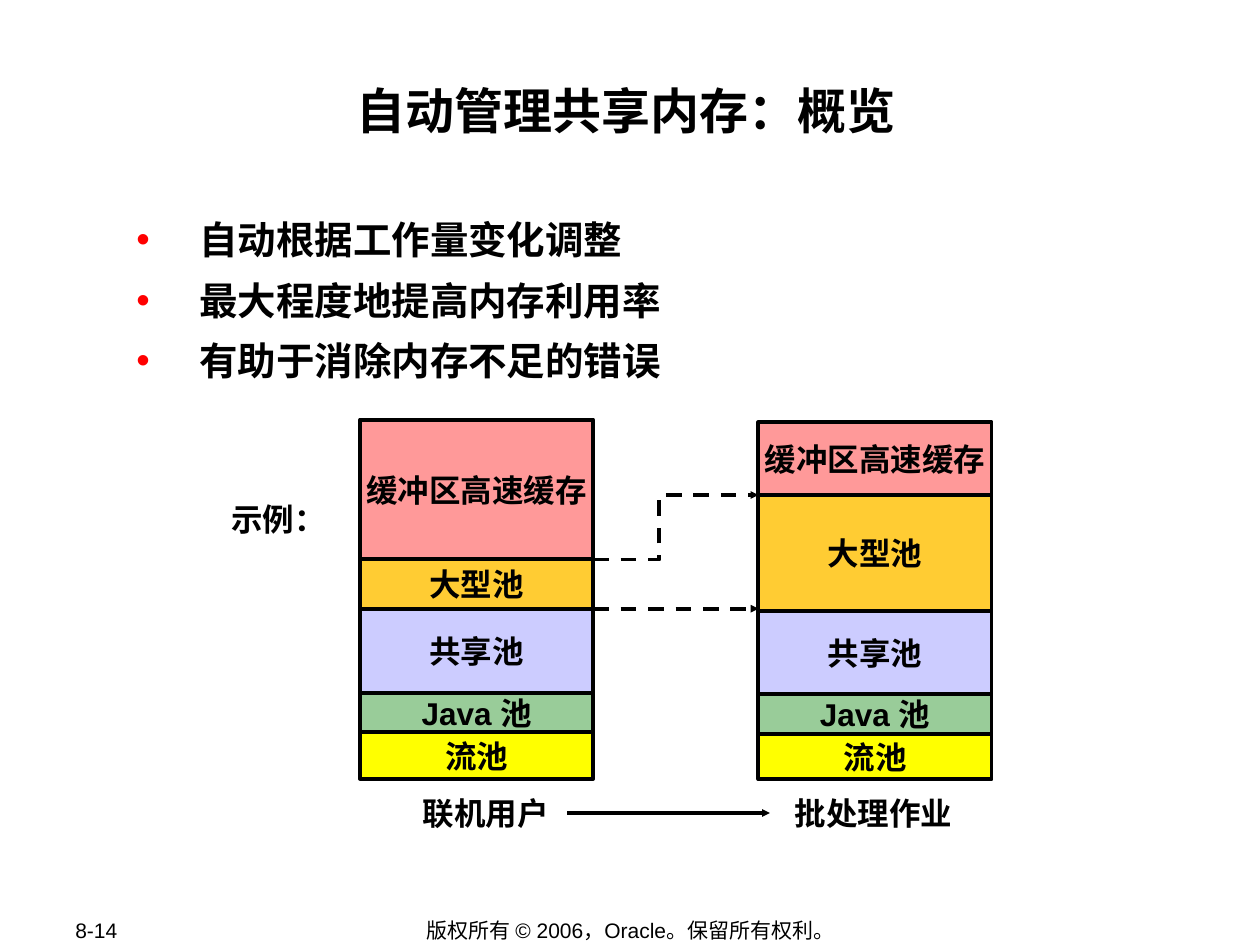
from dataclasses import dataclass
from itertools import accumulate

from lxml.etree import SubElement
from pptx import Presentation
from pptx.dml.color import RGBColor
from pptx.enum.dml import MSO_LINE
from pptx.enum.shapes import MSO_CONNECTOR, MSO_SHAPE
from pptx.enum.text import MSO_ANCHOR, MSO_AUTO_SIZE, PP_ALIGN
from pptx.oxml.ns import qn
from pptx.util import Cm, Pt


@dataclass(frozen=True)
class Theme:
    ink: str = "000000"
    mark: str = "FF0000"
    pools: tuple = ("FF9999", "FFCC33", "CCCCFF", "99CC99", "FFFF00")
    latin: str = "Arial"
    asian: str = "Noto Sans CJK SC"
    title: float = 28
    body: float = 22
    label: float = 18
    foot: float = 12
    line: float = 2.25


THEME = Theme()
POOLS = ("缓冲区高速缓存", "大型池", "共享池", "Java 池", "流池")


def color(code):
    return RGBColor.from_string(code)


def place(shape, box):
    shape.left, shape.top, shape.width, shape.height = map(Cm, box)


def style(frame, size, bold=True, align=PP_ALIGN.CENTER):
    for para in frame.paragraphs:
        para.alignment = align
        for run in para.runs:
            font = run.font
            font.size, font.bold = Pt(size), bold
            font.name = THEME.latin
            font.color.rgb = color(THEME.ink)
            SubElement(run._r.get_or_add_rPr(), qn("a:ea"), typeface=THEME.asian)


def inset(frame, wide, high):
    frame.margin_left = frame.margin_right = Cm(wide)
    frame.margin_top = frame.margin_bottom = Cm(high)


def add_text(slide, box, text, size, bold=True, align=PP_ALIGN.CENTER, wrap=False):
    frame = slide.shapes.add_textbox(*map(Cm, box)).text_frame
    frame.text = text
    frame.word_wrap = wrap
    inset(frame, 0.25, 0.13)
    style(frame, size, bold, align)
    return frame


def fill_holder(shape, box, text, size, align):
    place(shape, box)
    frame = shape.text_frame
    frame.text = text
    frame.auto_size = MSO_AUTO_SIZE.NONE
    frame.vertical_anchor = MSO_ANCHOR.TOP
    inset(frame, 0.03, 0.03)
    for para in frame.paragraphs:
        para.line_spacing = 1.1
        para.space_before = Pt(0)
    style(frame, size, True, align)
    return frame


def add_list(shape, box, items):
    frame = fill_holder(shape, box, "\n".join(items), THEME.body, PP_ALIGN.LEFT)
    for place_no, para in enumerate(frame.paragraphs):
        para.level = 1
        para.space_before = Pt(5.5 if place_no else 0)
        props = para._p.get_or_add_pPr()
        props.set("marL", str(Cm(1.6)))
        props.set("indent", str(Cm(-1.27)))
        tint = SubElement(props, qn("a:buClr"))
        SubElement(tint, qn("a:srgbClr"), val=THEME.mark)
        SubElement(props, qn("a:buFont"), typeface=THEME.latin)
        SubElement(props, qn("a:buChar"), char="•")


def add_stack(slide, box, parts):
    left, top, width, _ = box
    tops = accumulate(parts, initial=top)
    for name, fill, y, height in zip(POOLS, THEME.pools, tops, parts):
        area = map(Cm, (left, y, width, height))
        pool = slide.shapes.add_shape(MSO_SHAPE.RECTANGLE, *area)
        pool.shadow.inherit = False
        pool.fill.solid()
        pool.fill.fore_color.rgb = color(fill)
        pool.line.color.rgb = color(THEME.ink)
        pool.line.width = Pt(THEME.line)
        frame = pool.text_frame
        frame.text = name
        frame.word_wrap = False
        frame.vertical_anchor = MSO_ANCHOR.MIDDLE
        inset(frame, 0, 0)
        style(frame, THEME.label)


def draw_line(shape, dash):
    line = shape.line
    line.color.rgb = color(THEME.ink)
    line.width = Pt(THEME.line)
    if dash:
        line.dash_style = MSO_LINE.DASH
    SubElement(line._get_or_add_ln(), qn("a:tailEnd"), type="triangle", w="sm", len="sm")


def add_arrow(slide, start, end, dash=False):
    arrow = slide.shapes.add_connector(MSO_CONNECTOR.STRAIGHT, *map(Cm, start + end))
    draw_line(arrow, dash)
    SubElement(arrow._element.spPr, qn("a:effectLst"))


def add_links(slide, box):
    left, top, width, height = box
    right, low = left + width, top + 1.3
    bend = left + 0.4 * width
    path = slide.shapes.build_freeform(Cm(left), Cm(low))
    points = ((bend, low), (bend, top), (right, top))
    path.add_line_segments([(Cm(x), Cm(y)) for x, y in points], close=False)
    step = path.convert_to_shape()
    step.fill.background()
    step.shadow.inherit = False
    draw_line(step, True)
    add_arrow(slide, (left, top + height), (right, top + height), True)


def add_chart_area(slide, box):
    left, top, width, _ = box
    bar = 4.7
    far = left + width - bar
    add_stack(slide, (left, top, bar, 7.24), (2.82, 0.99, 1.7, 0.79, 0.94))
    add_stack(slide, (far, top + 0.05, bar, 7.2), (1.47, 2.34, 1.68, 0.79, 0.92))
    add_links(slide, (left + bar, top + 1.52, far - left - bar, 2.29))
    add_text(slide, (left - 2.94, top + 1.5, 1.96, 1.02), "示例：", THEME.label, wrap=True)
    base = top + 7.42
    add_text(slide, (left + 0.94, base, 3.18, 1.02), "联机用户", THEME.label)
    add_text(slide, (left + 8.44, base, 3.81, 1.02), "批处理作业", THEME.label)
    add_arrow(slide, (left + 4.17, base + 0.51), (left + 8.26, base + 0.51))


def add_foot(slide, box):
    left, top, _, height = box
    parts = (
        ((left, top, 2.69, height), "8-14", PP_ALIGN.LEFT),
        ((left + 5.74, top, 11.4, height), "版权所有 © 2006，Oracle。保留所有权利。", PP_ALIGN.CENTER),
    )
    for area, text, align in parts:
        frame = add_text(slide, area, text, THEME.foot, False, align, True)
        frame.vertical_anchor = MSO_ANCHOR.MIDDLE


def main():
    deck = Presentation()
    deck.slide_width, deck.slide_height = Cm(25.4), Cm(19.05)
    slide = deck.slides.add_slide(deck.slide_layouts[1])
    title, body = slide.placeholders
    fill_holder(title, (2.46, 1.47, 20.32, 2.44), "自动管理共享内存：概览", THEME.title, PP_ALIGN.CENTER)
    items = ("自动根据工作量变化调整", "最大程度地提高内存利用率", "有助于消除内存不足的错误")
    add_list(body, (2.39, 4.24, 20.47, 3.53), items)
    add_chart_area(slide, (7.26, 8.46, 12.73, 8.44))
    add_foot(slide, (1.27, 18.49, 22.86, 0.52))
    deck.save("out.pptx")


if __name__ == "__main__":
    main()
